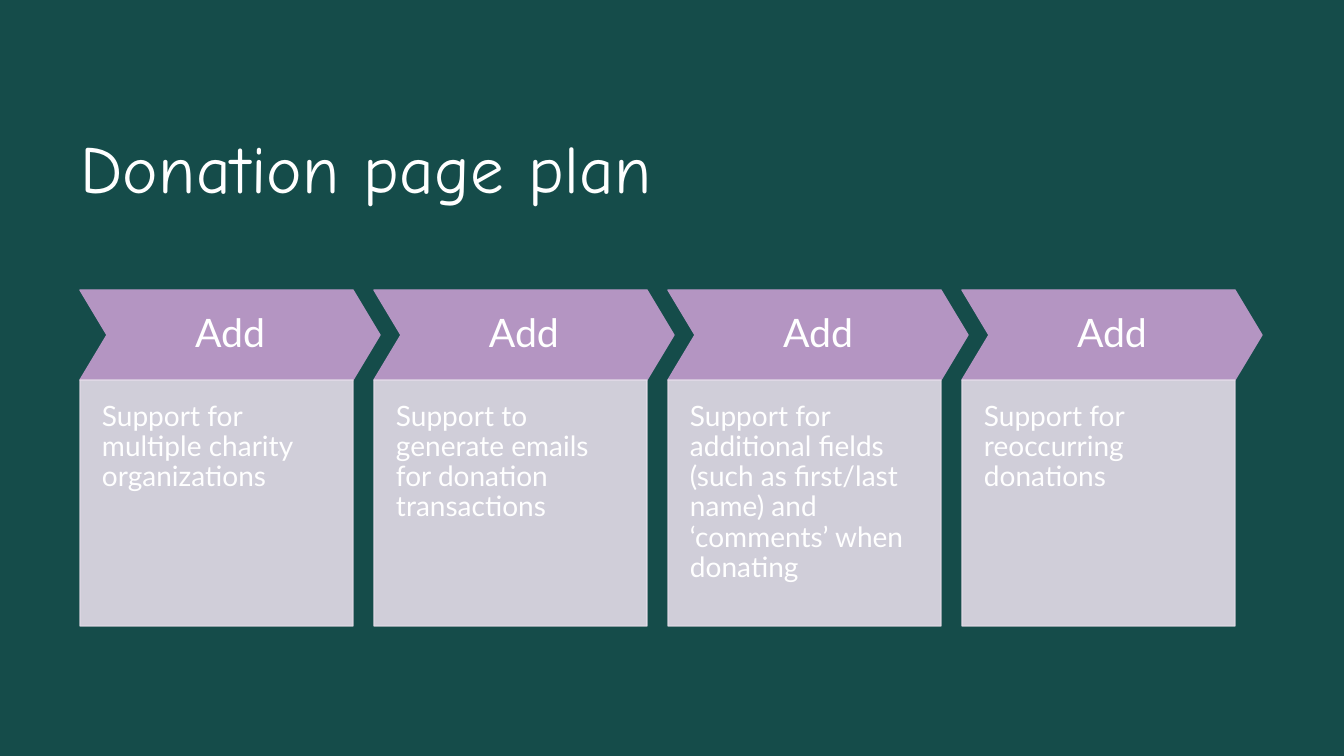
import pptx
import pptx.dml.color
import pptx.enum.shapes
import pptx.enum.text
import pptx.oxml
import pptx.oxml.ns
import pptx.util

# Content
TITLE = "Donation page plan"
STEPS = [
    ("Add", "Support for multiple charity organizations"),
    ("Add", "Support to generate emails for donation transactions"),
    ("Add", "Support for additional fields (such as first/last name) "
            "and ‘comments’ when donating"),
    ("Add", "Support for reoccurring donations"),
]

# Layout in px, colours and text formats
SLIDE_W, SLIDE_H = 1344, 756
LEFT, PITCH = 80, 294
HEAD_TOP, HEAD_W, HEAD_H = 290, 300, 90
CARD_W, CARD_H = 273, 246
DARK, WHITE, PURPLE, PALE = "154C4A", "FFFFFF", "B495C2", "E5DDE9"
CARD_OPACITY = 90

SHAPE = pptx.enum.shapes.MSO_SHAPE
ALIGN = pptx.enum.text.PP_ALIGN
ANCHOR = pptx.enum.text.MSO_ANCHOR

TITLE_FORMAT = {"name": "Comic Neue", "size": pptx.util.Pt(48), "bold": False}
HEAD_FORMAT = {"name": "Lato", "size": pptx.util.Pt(28)}
CARD_FORMAT = {"name": "Lato", "size": pptx.util.Pt(20)}


def px(n):
    return pptx.util.Emu(round(n * 914400 / 100.8))


def rgb(value):
    return pptx.dml.color.RGBColor.from_string(value)


def set_text(sp, text, font, align, anchor, insets, spacing):
    tf = sp.text_frame
    frame = dict(zip(("margin_left", "margin_top", "margin_right", "margin_bottom"),
                     map(px, insets)))
    frame.update(word_wrap=True, vertical_anchor=anchor,
                 auto_size=pptx.enum.text.MSO_AUTO_SIZE.NONE)
    for key, value in frame.items():
        setattr(tf, key, value)
    p = tf.paragraphs[0]
    p.alignment, p.line_spacing = align, spacing
    r = p.add_run()
    r.text = text
    for key, value in font.items():
        setattr(r.font, key, value)
    r.font.color.rgb = rgb(WHITE)
    return r


def add_block(s, kind, box, color, opacity=100):
    sp = s.shapes.add_shape(kind, *map(px, box))
    sp.shadow.inherit = False
    sp.line.width = pptx.util.Pt(1)
    for fill in (sp.fill, sp.line.fill):
        fill.solid()
        fill.fore_color.rgb = rgb(color)
    if opacity < 100:
        for clr in sp._element.spPr.iter(pptx.oxml.ns.qn("a:srgbClr")):
            alpha = pptx.oxml.parse_xml(
                f'<a:alpha {pptx.oxml.ns.nsdecls("a")} val="{opacity * 1000}"/>')
            clr.append(alpha)
    return sp


def main():
    prs = pptx.Presentation()
    prs.slide_width, prs.slide_height = px(SLIDE_W), px(SLIDE_H)
    s = prs.slides.add_slide(prs.slide_layouts[5])
    s.background.fill.solid()
    s.background.fill.fore_color.rgb = rgb(DARK)

    # Title
    title = s.shapes.title
    title.left, title.top, title.width, title.height = map(px, (80, 69, 1182, 163))
    r = set_text(title, TITLE, TITLE_FORMAT, ALIGN.LEFT, ANCHOR.TOP, (0, 68, 0, 0), 0.88)
    r.font._element.set("spc", "40")

    # Steps: a chevron heading above a card
    for i, (heading, detail) in enumerate(STEPS):
        x = LEFT + i * PITCH
        head = add_block(s, SHAPE.CHEVRON, (x, HEAD_TOP, HEAD_W, HEAD_H), PURPLE)
        head.adjustments[0] = 0.3
        set_text(head, heading, HEAD_FORMAT, ALIGN.CENTER, ANCHOR.MIDDLE, (11,) * 4, 0.9)
        card = add_block(s, SHAPE.RECTANGLE, (x, HEAD_TOP + HEAD_H, CARD_W, CARD_H),
                         PALE, CARD_OPACITY)
        set_text(card, detail, CARD_FORMAT, ALIGN.LEFT, ANCHOR.TOP, (22, 22, 22, 43), 0.9)

    prs.save("out.pptx")


if __name__ == "__main__":
    main()
